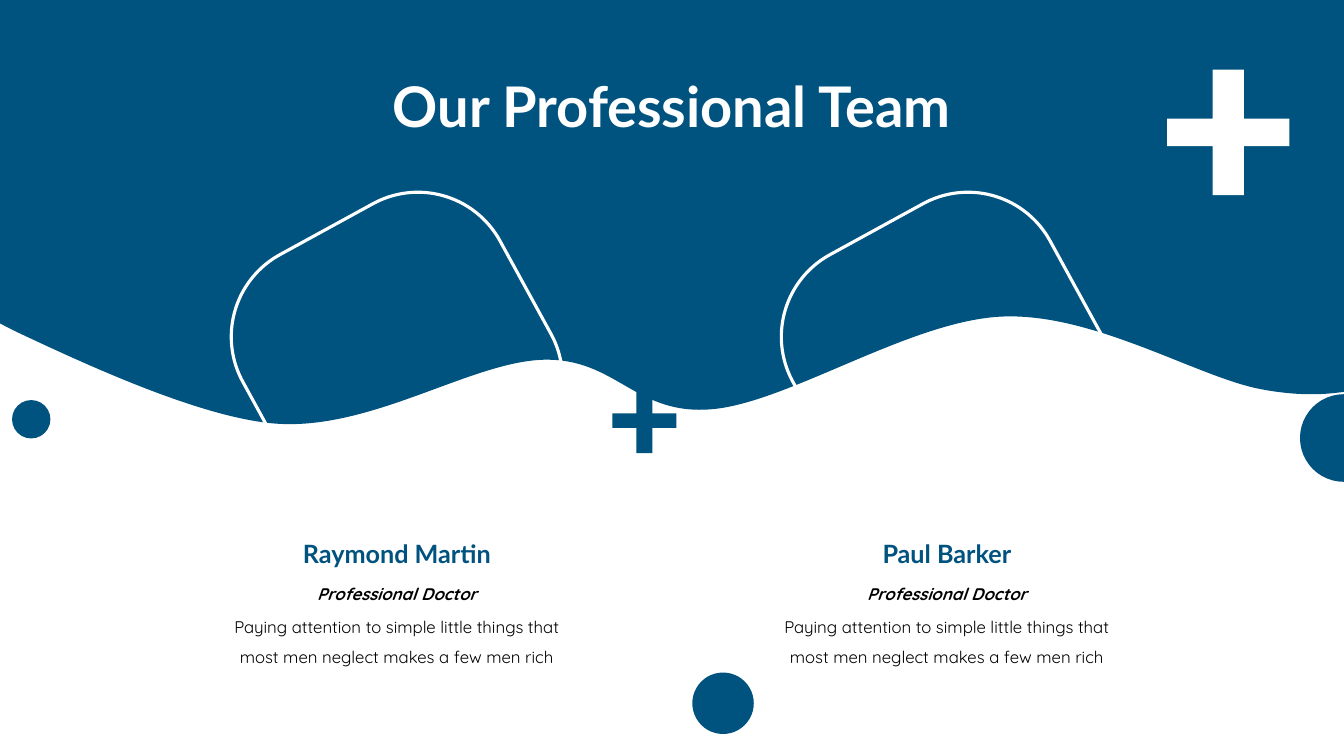
from lxml.etree import SubElement
from pptx import Presentation
from pptx.dml.color import RGBColor
from pptx.enum.shapes import MSO_SHAPE
from pptx.enum.text import MSO_ANCHOR, MSO_AUTO_SIZE, PP_ALIGN
from pptx.oxml.ns import qn
from pptx.util import Pt

# Content (lengths in points)
COLORS = {"blue": "00527F", "white": "FFFFFF", "black": "000000"}
TITLE = "Our Professional Team"
ROLE = "Professional Doctor"
BIO = "Paying attention to simple little things that most men neglect makes a few men rich"
TEAM = [("Raymond Martin", 283.5), ("Paul Barker", 676.4)]  # name, column centre

# Text rows of a team column: top, width, height, style
NAME_ROW = (380.9, 167.8, 29.1)
BIO_ROW = (429.8, 276.5, 51.1)
ROLE_ROW = (406.1, 259.9, 26.6)

# Wave outline: a point is a straight edge, three points are a Bezier curve
WAVE = [
    [(960, 0)], [(960, 280)], [(952.6, 280.8)],
    [(939.6, 282.2), (922.3, 282.2), (900, 277.9)],
    [(855.4, 269.3), (781.9, 223.9), (717.1, 226.1)],
    [(651.6, 228.2), (563.8, 287.3), (509, 292.3)],
    [(453.6, 297.4), (440.6, 255.6), (388.1, 257)],
    [(335.5, 258.5), (263.5, 308.9), (194.4, 302.4)],
    [(141.8, 297.4), (63.4, 261.4), (11.5, 236.9)],
    [(0, 231.1)],
]
FRAME = {"middle": 255.6, "side": 209.5, "radius": 66.9, "rotation": -28.7}
CIRCLES = [(8.6, 285.8, 27.4), (928.6, 281.6, 62.6), (494.5, 480.4, 43.9)]  # left, top, size
# left, top, width, height, upright thickness, crossbar thickness, colour
CROSSES = [
    (437.5, 277.1, 45.7, 46.7, 11.5, 10.3, "blue"),
    (833.6, 49.8, 87.4, 89.5, 22.3, 19.6, "white"),
]


def color(name):
    return RGBColor.from_string(COLORS[name])


def paint(shape, fill_name):
    shape.shadow.inherit = False
    shape.fill.solid()
    shape.fill.fore_color.rgb = color(fill_name)
    shape.line.fill.background()


def add_outline(start, points):
    builder = slide.shapes.build_freeform(Pt(start[0]), Pt(start[1]))
    builder.add_line_segments([(Pt(x), Pt(y)) for x, y in points], close=True)
    return builder.convert_to_shape()


def add_wave():
    shape = add_outline((0, 0), [edge[-1] for edge in WAVE])
    edges = list(shape.element.iter(qn("a:lnTo")))
    for element, edge in zip(edges, WAVE):
        if len(edge) == 3:
            curve = element.makeelement(qn("a:cubicBezTo"))
            for x, y in edge:
                SubElement(curve, qn("a:pt"), x=str(int(Pt(x))), y=str(int(Pt(y))))
            element.getparent().replace(element, curve)
    paint(shape, "blue")


def add_frame(center):
    side = FRAME["side"]
    shape = slide.shapes.add_shape(
        MSO_SHAPE.ROUNDED_RECTANGLE, Pt(center - side / 2),
        Pt(FRAME["middle"] - side / 2), Pt(side), Pt(side))
    shape.adjustments[0] = FRAME["radius"] / side
    shape.rotation = FRAME["rotation"]
    shape.shadow.inherit = False
    shape.fill.background()
    shape.line.color.rgb = color("white")
    shape.line.width = Pt(2.25)


def add_cross(left, top, width, height, upright, crossbar, fill_name):
    x1, x2 = left + (width - upright) / 2, left + (width + upright) / 2
    y1, y2 = top + (height - crossbar) / 2, top + (height + crossbar) / 2
    right, bottom = left + width, top + height
    shape = add_outline((x1, top), [
        (x2, top), (x2, y1), (right, y1), (right, y2), (x2, y2), (x2, bottom),
        (x1, bottom), (x1, y2), (left, y2), (left, y1), (x1, y1)])
    paint(shape, fill_name)


def add_text(text, center, row, font_name, size, color_name, bold=False, italic=False,
             spacing=1.0, anchor=MSO_ANCHOR.TOP, fit=MSO_AUTO_SIZE.SHAPE_TO_FIT_TEXT):
    top, width, height = row
    box = slide.shapes.add_textbox(Pt(center - width / 2), Pt(top), Pt(width), Pt(height))
    frame = box.text_frame
    frame.word_wrap = True
    frame.auto_size = fit
    frame.vertical_anchor = anchor
    frame.text = text
    paragraph = frame.paragraphs[0]
    paragraph.alignment = PP_ALIGN.CENTER
    paragraph.line_spacing = spacing
    font = paragraph.runs[0].font
    font.name, font.size, font.bold, font.italic = font_name, Pt(size), bold, italic
    font.color.rgb = color(color_name)


presentation = Presentation()
presentation.slide_width, presentation.slide_height = Pt(960), Pt(540)
slide = presentation.slides.add_slide(presentation.slide_layouts[6])

# Background wave
add_wave()

# Team members
for name, center in TEAM:
    add_frame(center)
    add_text(name, center, NAME_ROW, "Lato", 18, "blue", bold=True, anchor=MSO_ANCHOR.MIDDLE)
    add_text(BIO, center, BIO_ROW, "Quicksand", 12, "black", spacing=1.5)
    add_text(ROLE, center, ROLE_ROW, "Quicksand", 12, "black", bold=True, italic=True,
             spacing=1.5)

# Decorations
for left, top, size in CIRCLES:
    paint(slide.shapes.add_shape(MSO_SHAPE.OVAL, Pt(left), Pt(top), Pt(size), Pt(size)), "blue")
for cross in CROSSES:
    add_cross(*cross)

# Title
add_text(TITLE, 479.9, (25.9, 627.1, 104.4), "Lato", 40, "white", bold=True, spacing=0.9,
         anchor=MSO_ANCHOR.MIDDLE, fit=MSO_AUTO_SIZE.NONE)

presentation.save("out.pptx")
